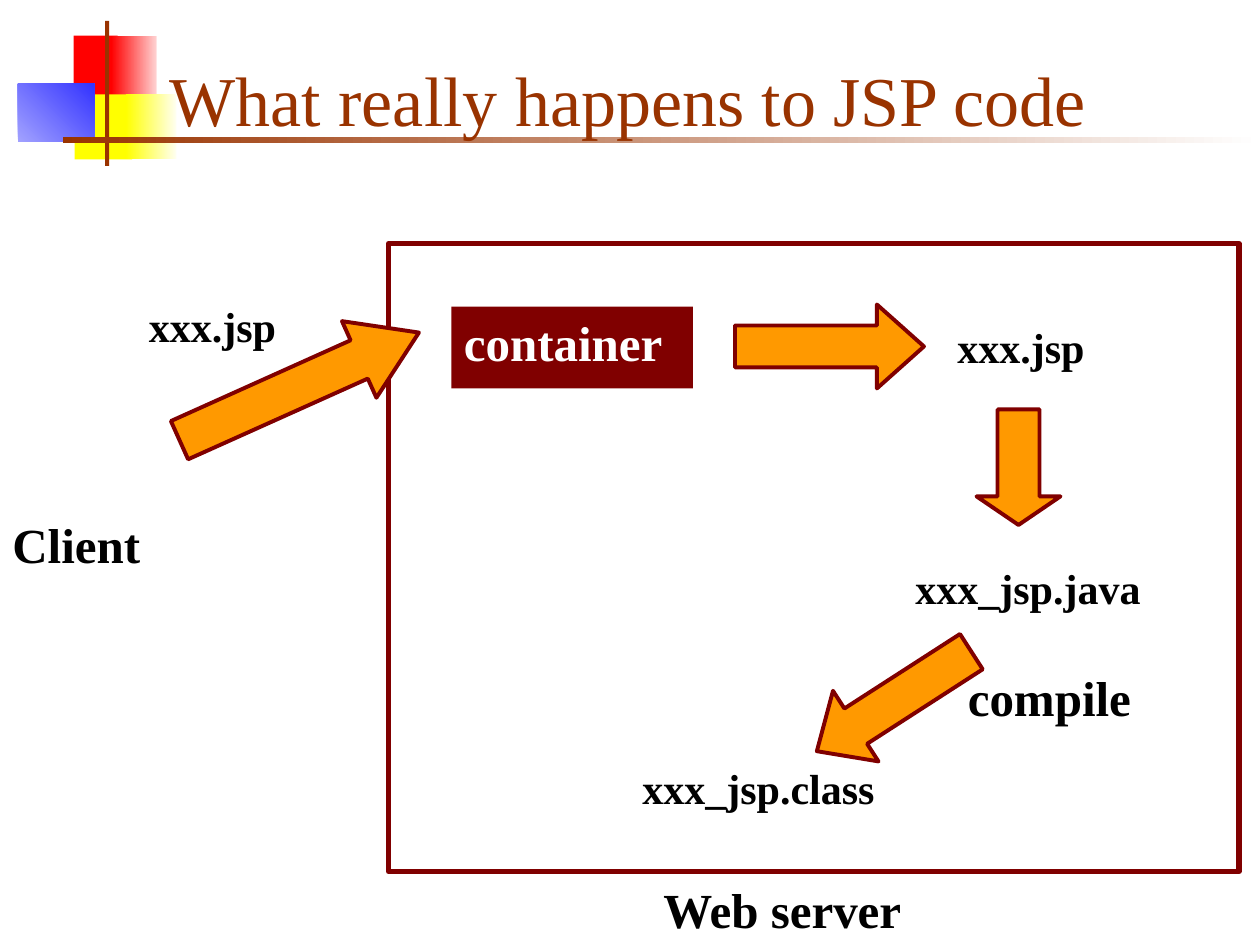
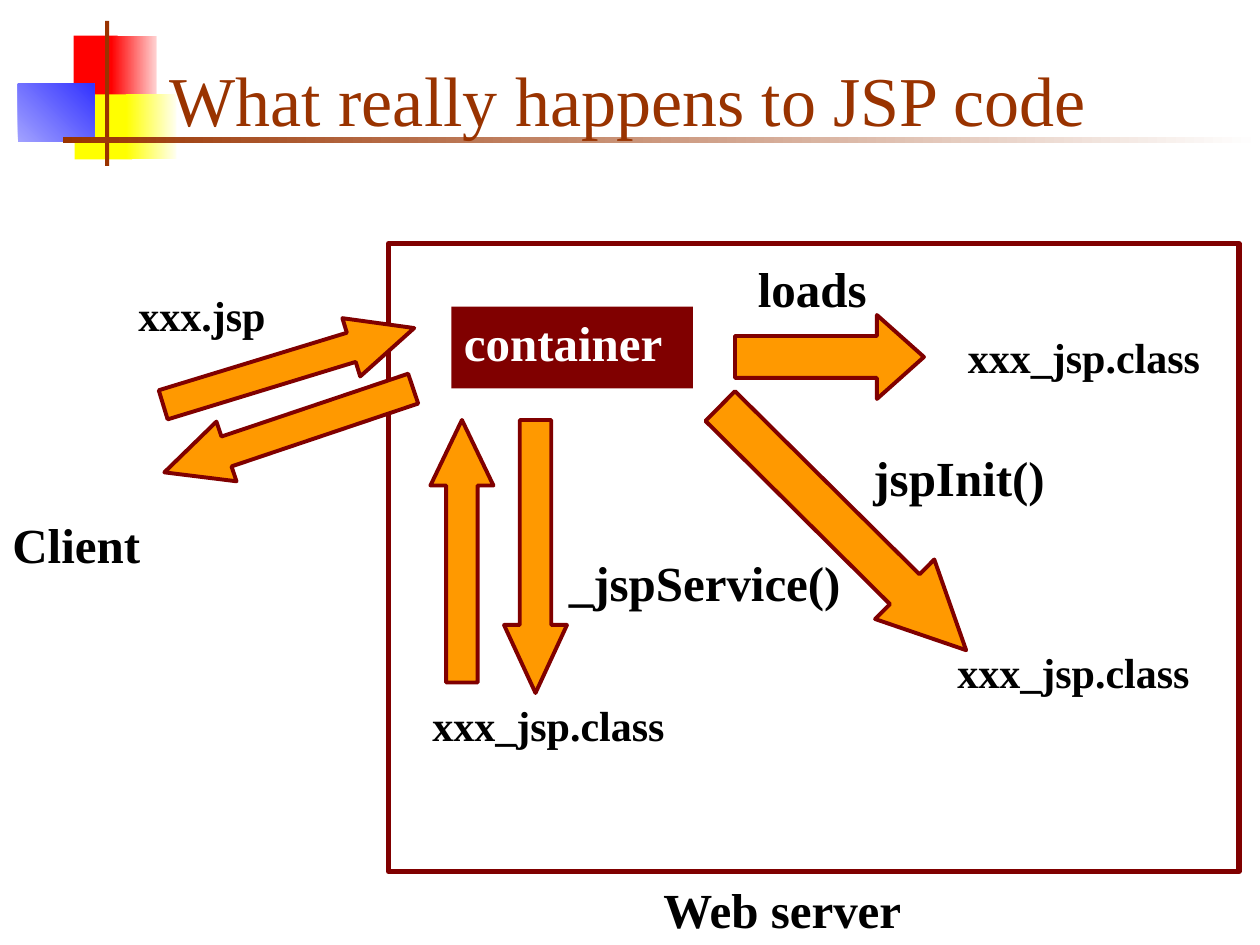
from pptx import Presentation
from pptx.dml.color import RGBColor
from pptx.enum.shapes import MSO_SHAPE as SHAPE
from pptx.enum.text import MSO_ANCHOR as ANCHOR, MSO_AUTO_SIZE as AUTO_SIZE, PP_ALIGN as ALIGN
from pptx.util import Emu, Pt

PX = 7620  # EMU per px, 120 px to the inch
FONT = "Times New Roman"
TITLE = "What really happens to JSP code"
RUST, MAROON, ORANGE, BLACK, WHITE = "993300", "800000", "FF9900", "000000", "FFFFFF"
LABEL_HEIGHTS = {28: 68, 24: 60}
HANGING = 45
rgb = RGBColor.from_string


def add_block(slide, kind, bounds, colours=(), angle=0, line=None, weight=0):
    """Add a shape with no fill, one colour or a two-colour gradient."""
    shape = slide.shapes.add_shape(kind, *[Emu(v * PX) for v in bounds])
    shape.shadow.inherit = False
    if len(colours) == 2:
        shape.fill.gradient()
        shape.fill.gradient_angle = angle
        for stop, colour in zip(shape.fill.gradient_stops, colours):
            stop.color.rgb = rgb(colour)
    elif colours:
        shape.fill.solid()
        shape.fill.fore_color.rgb = rgb(colours[0])
    else:
        shape.fill.background()
    if line:
        shape.line.color.rgb = rgb(line)
        shape.line.width = Pt(weight)
    else:
        shape.line.fill.background()
    return shape


def add_text(slide, text, left, top, width, height=None, size=28, colour=BLACK,
             bold=True, align=ALIGN.LEFT, anchor=ANCHOR.TOP):
    """Add one line of text; without a height it is a label that fits its text."""
    box = slide.shapes.add_textbox(*[Emu(v * PX) for v in
                                     (left, top, width, height or LABEL_HEIGHTS[size])])
    frame = box.text_frame
    frame.word_wrap = True
    frame.vertical_anchor = anchor
    para = frame.paragraphs[0]
    para.alignment = align
    if height is None:
        frame.auto_size = AUTO_SIZE.SHAPE_TO_FIT_TEXT
        para.space_before = Pt(size * 0.625)
        properties = para._p.get_or_add_pPr()
        properties.set("marL", str(HANGING * PX))
        properties.set("indent", str(-HANGING * PX))
    span = para.add_run()
    span.text = text
    span.font.name = FONT
    span.font.size = Pt(size)
    span.font.bold = bold
    span.font.color.rgb = rgb(colour)


# Bounds, colours, gradient angle
ornaments = [
    ((70, 34, 42, 62), ["FF0000"], 0),
    ((106, 34, 43, 62), ["FF0000", "FFD1D1"], 0),
    ((71, 90, 55, 62), ["FFFF00"], 0),
    ((120, 90, 48, 62), ["FFFF00", "FFFFF0"], 0),
    ((17, 80, 73, 55), ["A2A2FF", "3333FF"], 45),
    ((100, 20, 4, 138), [RUST], 0),
    ((60, 130, 1140, 6), [RUST, WHITE], 0),
]

# Labels: text, left, top, width, size
# Arrows: bounds, rotation, head length relative to the arrow's height
translation = {
    "labels": [
        ("xxx.jsp", 130, 280, 150, 24),
        ("xxx.jsp", 900, 300, 170, 24),
        ("xxx_jsp.java", 860, 530, 250, 24),
        ("xxx_jsp.class", 600, 720, 250, 24),
        ("compile", 910, 630, 190, 28),
    ],
    "arrows": [
        ((160, 328, 250, 80), 335.8, 0.78),
        ((700, 290, 180, 80), 0, 0.56),
        ((915, 405, 110, 80), 90, 0.34),
        ((764, 628, 175, 80), 147.2, 0.55),
    ],
}
execution = {
    "labels": [
        ("xxx.jsp", 120, 270, 150, 24),
        ("xxx_jsp.class", 910, 310, 250, 24),
        ("loads", 710, 240, 140, 28),
        ("xxx_jsp.class", 900, 610, 250, 24),
        ("jspInit()", 820, 420, 200, 28),
        ("xxx_jsp.class", 400, 660, 250, 24),
        ("_jspService()", 530, 520, 300, 28),
    ],
    "arrows": [
        ((700, 300, 180, 80), 0, 0.56),
        ((638, 463, 330, 80), 44.8, 1.03),
        ((380, 500, 260, 60), 90, 1.08),
        ((315, 495, 250, 60), 270, 1.04),
        ((150, 320, 250, 58), 343, 1.08),
        ((150, 380, 250, 60), 161.4, 1.04),
    ],
}

deck = Presentation()
deck.slide_width, deck.slide_height = Emu(1200 * PX), Emu(900 * PX)

for stage in (translation, execution):
    page = deck.slides.add_slide(deck.slide_layouts[6])
    for bounds, colours, angle in ornaments:
        add_block(page, SHAPE.RECTANGLE, bounds, colours, angle)
    add_text(page, TITLE, 150, 30, 1022, 110, size=40, colour=RUST, bold=False,
             anchor=ANCHOR.BOTTOM)

    add_text(page, "Client", 0, 484, 170)
    add_block(page, SHAPE.RECTANGLE, (430, 292, 230, 78), [MAROON])
    add_text(page, "container", 430, 292, 220, colour=WHITE)
    add_block(page, SHAPE.RECTANGLE, (370, 232, 810, 598), line=MAROON, weight=3)
    add_text(page, "Web server", 610, 832, 270, align=ALIGN.CENTER)

    for text, left, top, width, size in stage["labels"]:
        add_text(page, text, left, top, width, size=size)
    for bounds, rotation, head in stage["arrows"]:
        arrow = add_block(page, SHAPE.RIGHT_ARROW, bounds, [ORANGE], line=MAROON, weight=2.25)
        arrow.rotation = rotation
        arrow.adjustments[1] = head

deck.save("out.pptx")
